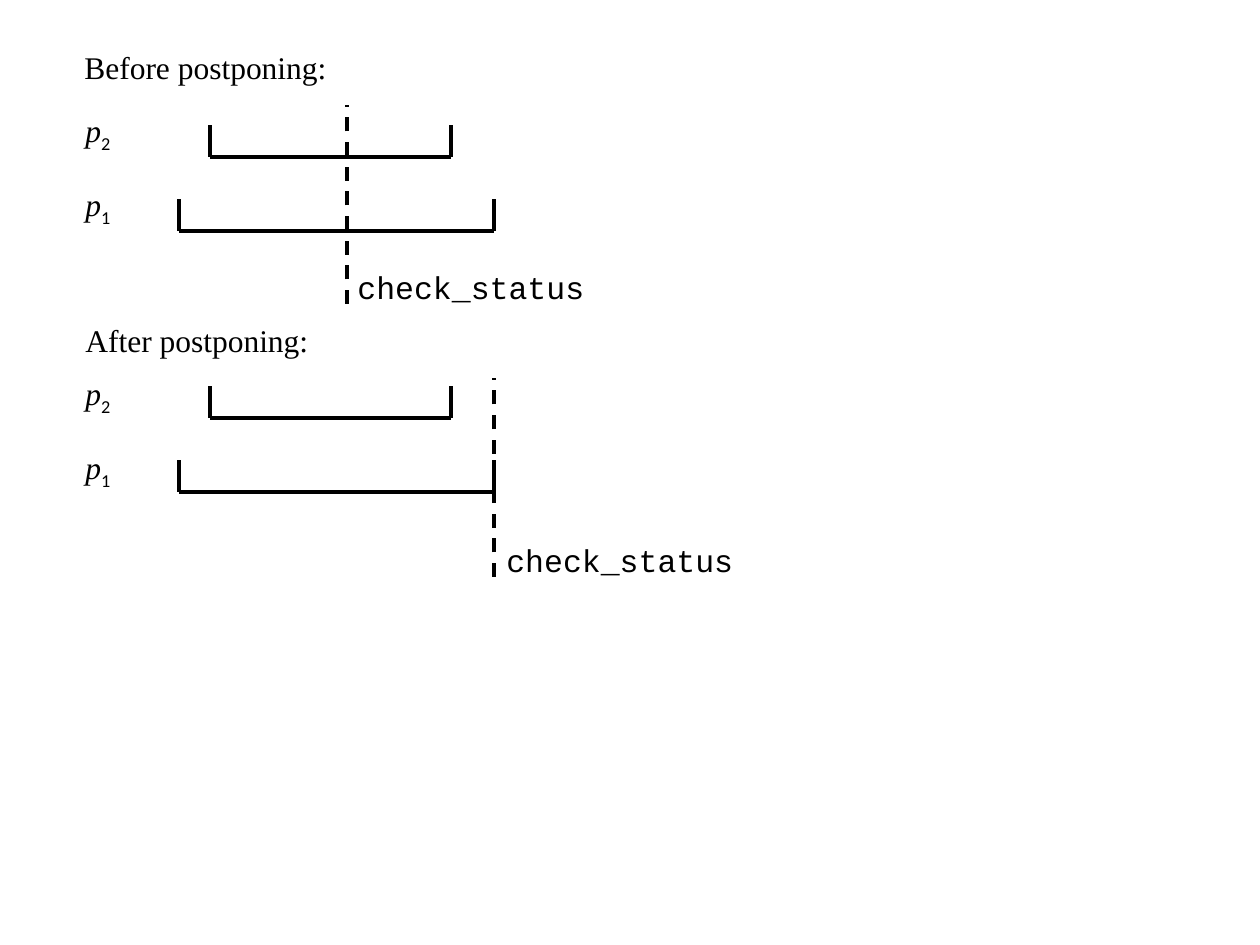
from dataclasses import dataclass
from lxml.etree import SubElement
from pptx import Presentation
from pptx.dml.color import RGBColor as RGB
from pptx.enum.dml import MSO_LINE as Dash
from pptx.enum.shapes import MSO_CONNECTOR as Conn
from pptx.enum.text import MSO_AUTO_SIZE as Fit
from pptx.oxml.ns import qn
from pptx.util import Emu, Pt


@dataclass
class Theme:
    ink: RGB = RGB(0, 0, 0)
    size: int = 18
    line: int = 2
    serif: str = "Times New Roman"
    mono: str = "Courier New"
    sans: str = "Calibri"


def px(n):
    return Emu(round(n * 914400 / 126))


class Board:
    def __init__(self, slide, theme):
        self.slide = slide
        self.theme = theme

    def line(self, home, x1, y1, x2, y2, dash=None):
        link = home.add_connector(Conn.STRAIGHT, px(x1), px(y1), px(x2), px(y2))
        link.line.color.rgb = self.theme.ink
        link.line.width = Pt(self.theme.line)
        if dash:
            link.line.dash_style = dash
        SubElement(link._element.spPr, qn("a:effectLst"))

    def span(self, left, right, base, rise=32):
        group = self.slide.shapes.add_group_shape().shapes
        self.line(group, left, base, right, base)
        for x in (left, right):
            self.line(group, x, base, x, base - rise)

    def text(self, words, x, y, wide, font, sub=None):
        box = self.slide.shapes.add_textbox(px(x), px(y), px(wide), px(50))
        frame = box.text_frame
        frame.word_wrap = False
        frame.auto_size = Fit.SHAPE_TO_FIT_TEXT
        para = frame.paragraphs[0]
        para.font.size = Pt(self.theme.size)
        run = para.add_run()
        run.text = words
        runs = [(run, font)]
        if sub:
            run.font.italic = True
            low = para.add_run()
            low.text = sub
            low._r.get_or_add_rPr().set("baseline", "-25000")
            runs.append((low, self.theme.sans))
        for part, face in runs:
            part.font.name = face
            part.font.size = Pt(self.theme.size)
            part.font.color.rgb = self.theme.ink


deck = Presentation()
deck.slide_width, deck.slide_height = px(1260), px(945)
theme = Theme()
board = Board(deck.slides.add_slide(deck.slide_layouts[6]), theme)

# Process number, left end and right end of each interval
rows = [("2", 210, 451), ("1", 179, 494)]
gap = 74

# Heading, its place and width, label top, interval base, check line x, check text x
scenes = [
    ("Before postponing:", 72, 42, 272, 105, 157, 347, 345),
    ("After postponing:", 73, 315, 252, 368, 418, 494, 494),
]

for head, left, top, wide, label, base, check, note in scenes:
    # Heading
    board.text(head, left, top, wide, theme.serif)

    # Process intervals
    for i, (num, start, end) in enumerate(rows):
        board.span(start, end, base + i * gap)
        board.text("p", 73, label + i * gap, 53, theme.serif, num)

    # Moment of the status check
    board.line(board.slide.shapes, check, top + 262, check, top + 63, Dash.DASH)
    board.text("check_status", note, top + 220, 253, theme.mono)

deck.save("out.pptx")
